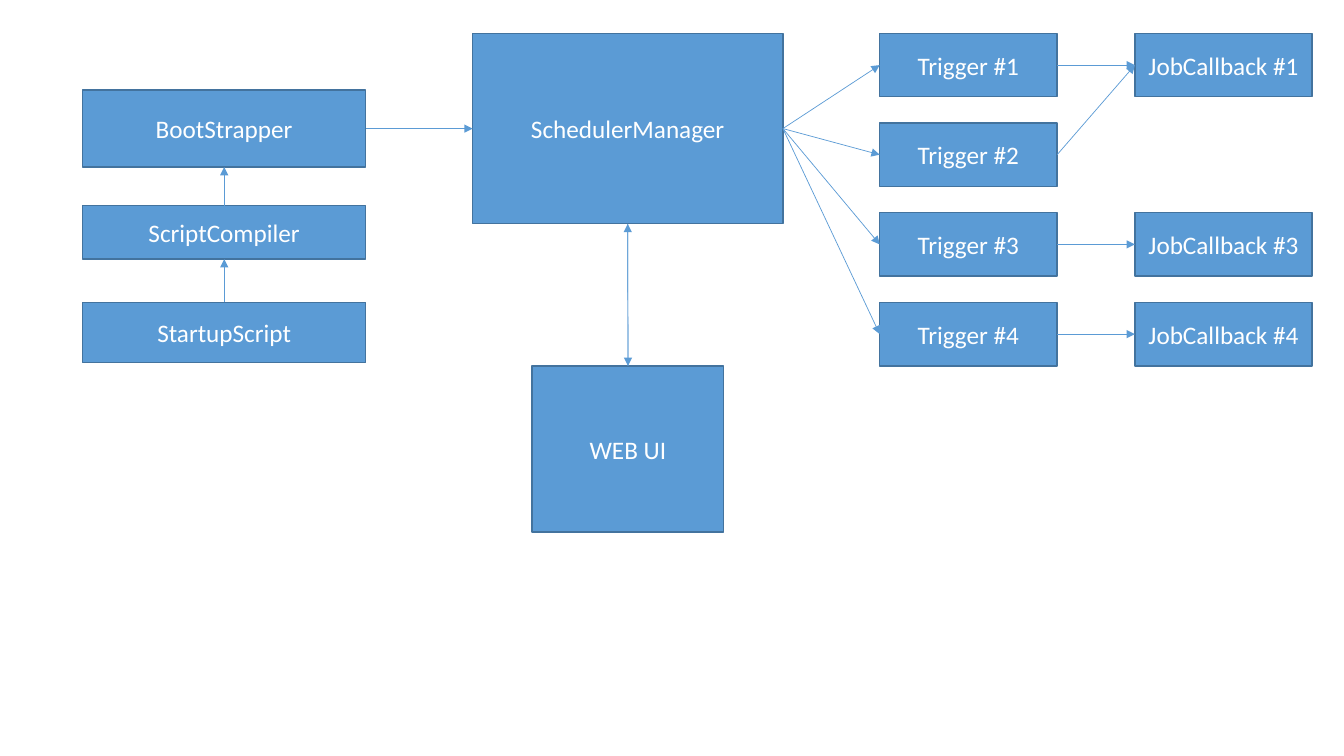
import pptx
import pptx.util
import pptx.dml.color
import pptx.enum.shapes
import pptx.enum.text
import pptx.oxml.ns
import lxml.etree

Cm, Pt = pptx.util.Cm, pptx.util.Pt
RGB = pptx.dml.color.RGBColor.from_string
qn = pptx.oxml.ns.qn

theme = {
    "fill": RGB("5B9BD5"), "border": RGB("43739E"), "text": RGB("FFFFFF"),
    "font": "Calibri", "size": Pt(18), "border_width": Pt(1), "arrow_width": Pt(0.5),
}
# Connection sites of a rectangle
TOP, LEFT, BOTTOM, RIGHT = range(4)

prs = pptx.Presentation()
prs.slide_width, prs.slide_height = Cm(33.87), Cm(19.05)
s = prs.slides.add_slide(prs.slide_layouts[6])


def add_box(text, x, y, w, h):
    sp = s.shapes.add_shape(pptx.enum.shapes.MSO_SHAPE.RECTANGLE, Cm(x), Cm(y), Cm(w), Cm(h))
    sp.shadow.inherit = False
    sp.fill.solid()
    sp.fill.fore_color.rgb = theme["fill"]
    sp.line.color.rgb = theme["border"]
    sp.line.width = theme["border_width"]
    tf = sp.text_frame
    tf.word_wrap = True
    tf.vertical_anchor = pptx.enum.text.MSO_ANCHOR.MIDDLE
    p = tf.paragraphs[0]
    p.text = text
    p.alignment = pptx.enum.text.PP_ALIGN.CENTER
    p.font.name, p.font.size = theme["font"], theme["size"]
    p.font.color.rgb = theme["text"]
    return sp


def add_arrow(start, start_site, end, end_site):
    c = s.shapes.add_connector(pptx.enum.shapes.MSO_CONNECTOR.STRAIGHT, 0, 0, 0, 0)
    c.begin_connect(start, start_site)
    c.end_connect(end, end_site)
    c.line.color.rgb = theme["fill"]
    c.line.width = theme["arrow_width"]
    lxml.etree.SubElement(c.line._get_or_add_ln(), qn("a:tailEnd"), type="triangle")
    lxml.etree.SubElement(c._element.spPr, qn("a:effectLst"))


# Scheduler and web interface
scheduler = add_box("SchedulerManager", 11.91, 0.84, 7.82, 4.8)
web_ui = add_box("WEB UI", 13.41, 9.22, 4.83, 4.19)
add_arrow(scheduler, BOTTOM, web_ui, TOP)
add_arrow(web_ui, TOP, scheduler, BOTTOM)

# Startup chain, from bottom to top
startup, compiler, bootstrapper = [
    add_box(text, 2.08, y, 7.14, h)
    for text, y, h in [("StartupScript", 7.62, 1.52),
                       ("ScriptCompiler", 5.18, 1.35),
                       ("BootStrapper", 2.27, 1.94)]
]
add_arrow(startup, TOP, compiler, BOTTOM)
add_arrow(compiler, TOP, bootstrapper, BOTTOM)
add_arrow(bootstrapper, RIGHT, scheduler, LEFT)

# Triggers and the callbacks they run; trigger 2 shares callback 1
callbacks = {}
for number, target in [(1, 1), (2, 1), (3, 3), (4, 4)]:
    y = 0.84 + 2.26 * (number - 1)
    trigger = add_box(f"Trigger #{number}", 22.17, y, 4.47, 1.6)
    if target not in callbacks:
        callbacks[target] = add_box(f"JobCallback #{target}", 28.6, y, 4.47, 1.6)
    add_arrow(scheduler, RIGHT, trigger, LEFT)
    add_arrow(trigger, RIGHT, callbacks[target], LEFT)

prs.save("out.pptx")
